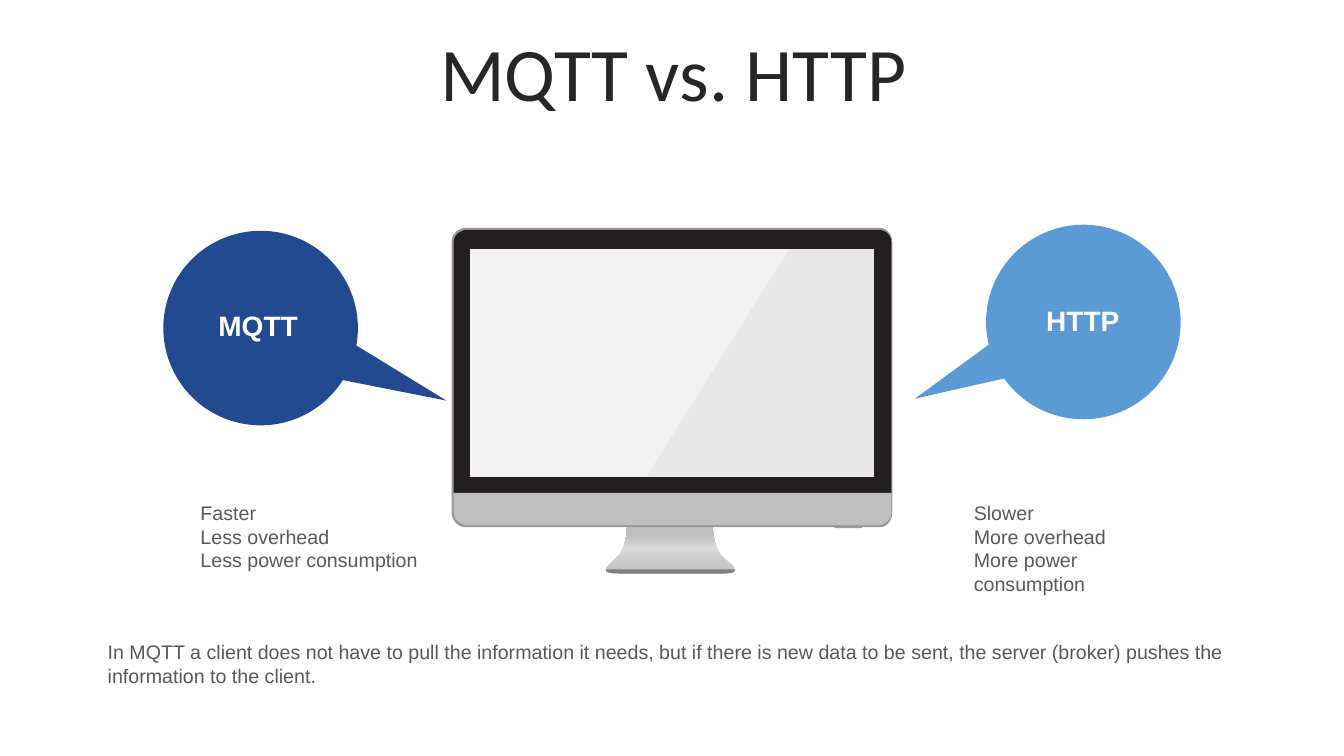
from lxml.etree import SubElement
from pptx import Presentation
from pptx.dml.color import RGBColor
from pptx.enum.shapes import MSO_SHAPE as Shape
from pptx.enum.text import MSO_ANCHOR as Anchor, MSO_AUTO_SIZE as AutoSize, PP_ALIGN as Align
from pptx.oxml.ns import qn
from pptx.util import Inches, Pt

WHITE = RGBColor(0xFF, 0xFF, 0xFF)
NAVY = RGBColor(0x22, 0x4A, 0x90)
SKY = RGBColor(0x5A, 0x9B, 0xD5)
TITLE_INK = RGBColor(0x26, 0x26, 0x26)
BODY_INK = RGBColor(0x59, 0x59, 0x59)
BEZEL = RGBColor(0x23, 0x1F, 0x20)
EDGE = RGBColor(0x99, 0x99, 0x99)
METAL = RGBColor(0xBF, 0xBF, 0xBF)
SHINE = RGBColor(0xD9, 0xD9, 0xD9)
FOOT = RGBColor(0x80, 0x80, 0x80)
SCREEN = RGBColor(0xF2, 0xF2, 0xF2)


def write(frame, lines, size, color, font="Arial", bold=False, align=Align.LEFT, indent=0):
    """Fill a text frame with one paragraph per line."""
    frame.word_wrap = True
    for number, line in enumerate(lines):
        para = frame.add_paragraph() if number else frame.paragraphs[0]
        para.alignment = align
        if indent:
            para.level = 1
            properties = para._p.get_or_add_pPr()
            properties.set("marL", str(Inches(indent)))
            properties.set("indent", "0")
        span = para.add_run()
        span.text = line
        span.font.name = font
        span.font.size = Pt(size)
        span.font.bold = bold
        span.font.color.rgb = color


def add_text(page, box, lines, size, color, **style):
    """Place a text box that grows with its text."""
    frame = page.shapes.add_textbox(*map(Inches, box)).text_frame
    write(frame, lines, size, color, **style)
    frame.auto_size = AutoSize.SHAPE_TO_FIT_TEXT


def paint(shape, color):
    """Give a shape a flat fill without line or shadow."""
    shape.fill.solid()
    shape.fill.fore_color.rgb = color
    shape.line.fill.background()
    shape.shadow.inherit = False


def curve_points(start, curve, steps=10):
    """Return points along a cubic curve of six coordinates."""
    points = [start, curve[:2], curve[2:4], curve[4:]]
    for step in range(1, steps + 1):
        t = step / steps
        weights = ((1 - t) ** 3, 3 * t * (1 - t) ** 2, 3 * t * t * (1 - t), t ** 3)
        yield tuple(sum(w * p[axis] for w, p in zip(weights, points)) for axis in (0, 1))


def add_outline(page, left, top, segments, color):
    """Draw a closed outline from points and cubic curves."""
    points = [segments[0]]
    for segment in segments[1:]:
        points += [segment] if len(segment) == 2 else curve_points(points[-1], segment)
    spots = [(Inches(left + x), Inches(top + y)) for x, y in points]
    builder = page.shapes.build_freeform(*spots[0])
    builder.add_line_segments(spots[1:], close=True)
    shape = builder.convert_to_shape()
    paint(shape, color)
    return shape


def set_gradient(shape, stops, angle):
    """Fill a shape with a linear gradient of (percent, color) stops."""
    shape.fill.gradient()
    shape.fill.gradient_angle = angle
    stop_list = shape._element.spPr.find(qn("a:gradFill")).find(qn("a:gsLst"))
    for old_stop in list(stop_list):
        stop_list.remove(old_stop)
    for percent, color in stops:
        stop = SubElement(stop_list, qn("a:gs"), pos=str(percent * 1000))
        SubElement(stop, qn("a:srgbClr"), val=str(color))


def add_monitor(page, left, top):
    """Draw the desktop monitor with its stand."""
    stand = add_outline(page, left, top, [
        (2.68, 3.26), (2.59, 3.16, 2.59, 2.96, 2.59, 2.96), (1.74, 2.96),
        (1.74, 2.96, 1.74, 3.16, 1.65, 3.26), (1.56, 3.35, 1.42, 3.43, 1.67, 3.43),
        (2.67, 3.43), (2.92, 3.43, 2.78, 3.35, 2.68, 3.26)], METAL)
    set_gradient(stand, [(0, METAL), (53, SHINE), (83, METAL), (100, METAL)], 90)
    casing = [(0.14, 0), (4.24, 0), (4.31, 0, 4.37, 0.06, 4.37, 0.14), (4.37, 2.82),
              (4.37, 2.9, 4.32, 2.97, 4.25, 2.97), (0.13, 2.97),
              (0.06, 2.97, 0, 2.9, 0, 2.82), (0, 0.14), (0, 0.06, 0.07, 0, 0.14, 0)]
    button = [(3.79, 2.95), (3.79, 2.95, 3.79, 2.98, 3.81, 2.98), (4.05, 2.98),
              (4.05, 2.98, 4.08, 2.98, 4.08, 2.95)]
    bezel = [(0.16, 0.02), (4.23, 0.02), (4.3, 0.02, 4.36, 0.07, 4.36, 0.14), (4.36, 2.63),
             (0.02, 2.63), (0.02, 0.14), (0.02, 0.07, 0.09, 0.02, 0.16, 0.02)]
    foot = [(1.53, 3.39), (1.53, 3.42, 1.57, 3.43, 1.67, 3.43), (2.68, 3.43),
            (2.78, 3.43, 2.81, 3.42, 2.81, 3.39)]
    chin = [(0.02, 2.83), (0.02, 2.89, 0.09, 2.95, 0.16, 2.95), (4.23, 2.95),
            (4.3, 2.95, 4.36, 2.89, 4.36, 2.83), (4.36, 2.63), (0.02, 2.63)]
    screen = [(0.18, 0.21), (4.19, 0.21), (4.19, 2.47), (0.18, 2.47)]
    for segments, color in ((casing, EDGE), (button, EDGE), (bezel, BEZEL),
                            (foot, FOOT), (chin, METAL), (screen, SCREEN)):
        add_outline(page, left, top, segments, color)
    glare = add_outline(page, left, top,
                        [(3.35, 0.21), (4.19, 0.21), (4.19, 2.47), (1.93, 2.47)], EDGE)
    tint = glare._element.spPr.find(qn("a:solidFill"))[0]
    SubElement(tint, qn("a:alpha"), val="10000")


def add_protocol(page, left, top, name, color, pointer, label_offset):
    """Draw a speech bubble with the protocol name on it."""
    bubble = page.shapes.add_shape(Shape.OVAL_CALLOUT, Inches(left), Inches(top),
                                   Inches(1.93), Inches(1.93))
    bubble.rotation = 31.4
    bubble.adjustments[0], bubble.adjustments[1] = pointer
    paint(bubble, color)
    label_left, label_top = label_offset
    add_text(page, (left + label_left, top + label_top, 1.62, 0.44), [name], 20, WHITE,
             bold=True, align=Align.CENTER)


def add_title(page, box, text):
    """Place and format the slide title."""
    title = page.shapes.title
    title.left, title.top, title.width, title.height = map(Inches, box)
    frame = title.text_frame
    write(frame, [text], 54, TITLE_INK, font="Calibri", align=Align.CENTER)
    frame.auto_size = AutoSize.NONE
    frame.vertical_anchor = Anchor.MIDDLE
    frame.paragraphs[0].line_spacing = 0.9


def main():
    """Build the comparison slide."""
    deck = Presentation()
    deck.slide_width, deck.slide_height = Inches(13.33), Inches(7.5)
    page = deck.slides.add_slide(deck.slide_layouts[5])
    add_title(page, (0.35, 0.37, 12.66, 0.79), "MQTT vs. HTTP")
    add_monitor(page, 4.48, 2.26)
    add_protocol(page, 1.62, 2.29, "MQTT", NAVY, (1.009, -0.179), (0.13, 0.72))
    add_protocol(page, 9.78, 2.23, "HTTP", SKY, (-0.534, 0.788), (0.15, 0.73))
    add_text(page, (1.39, 4.92, 2.86, 0.81),
             ["Faster", "Less overhead", "Less power consumption"], 14, BODY_INK, indent=0.5)
    add_text(page, (9.06, 4.92, 2.88, 0.81),
             ["Slower", "More overhead", "More power consumption"], 14, BODY_INK, indent=0.5)
    add_text(page, (0.97, 6.3, 12.04, 0.57),
             ["In MQTT a client does not have to pull the information it needs, but if there is "
              "new data to be sent, the server (broker) pushes the information to the client."],
             14, BODY_INK)
    deck.save("out.pptx")


if __name__ == "__main__":
    main()
